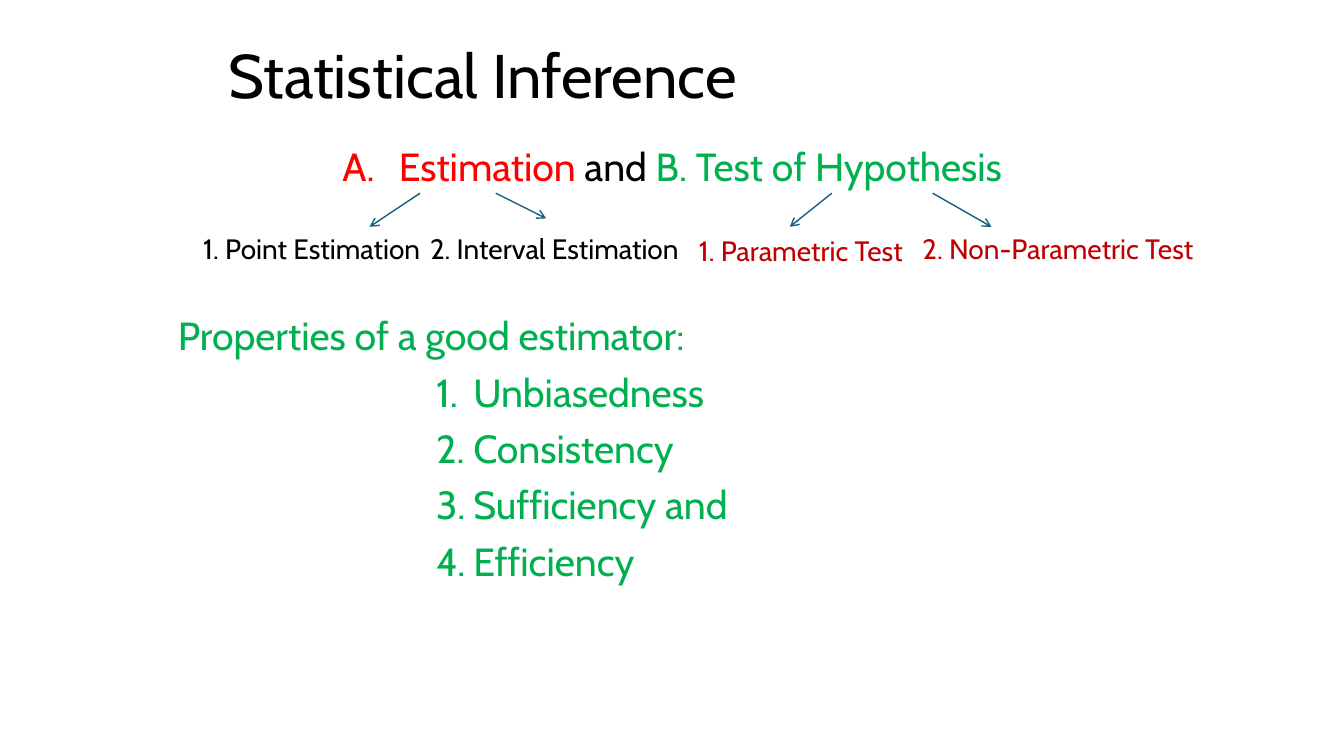
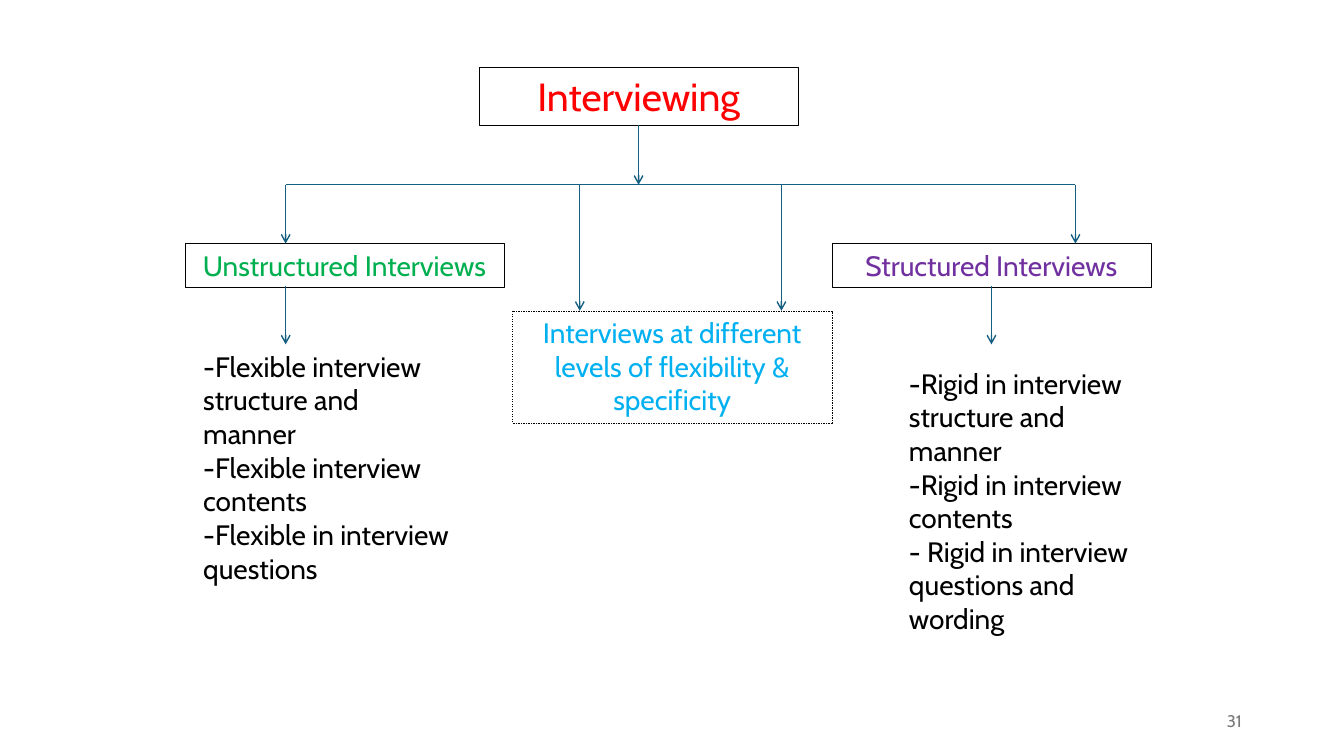
from lxml import etree
from pptx import Presentation
from pptx import util as u
from pptx.dml.color import RGBColor
from pptx.enum import dml, shapes, text
from pptx.oxml.ns import qn

BLACK = RGBColor(0x00, 0x00, 0x00)
RED = RGBColor(0xFF, 0x00, 0x00)
DARK_RED = RGBColor(0xC0, 0x00, 0x00)
GREEN = RGBColor(0x00, 0xB0, 0x50)
SKY = RGBColor(0x00, 0xB0, 0xF0)
PURPLE = RGBColor(0x70, 0x30, 0xA0)
GREY = RGBColor(0x79, 0x79, 0x79)
TEAL = RGBColor(0x15, 0x60, 0x82)
FONT = "Cabin"
CENTER, RIGHT = text.PP_ALIGN.CENTER, text.PP_ALIGN.RIGHT
LOOSE = {"line_spacing": 0.9, "space_before": u.Pt(10)}

prs = Presentation()
prs.slide_width, prs.slide_height = u.Inches(13.33), u.Inches(7.5)
COLS, ROWS = 160, 90
CELL = prs.slide_height / ROWS


def add_text(s, at, paras, size, color=BLACK, anchor=text.MSO_ANCHOR.TOP, border=None, **fmt):
    """Place paragraphs at grid cells (left, top, width, height).

    A paragraph is a string, with \\v as line break, or a list of (text, color) runs.
    """
    sp = s.shapes.add_textbox(*(round(n * CELL) for n in at))
    if border:
        sp.line.color.rgb = BLACK
        sp.line.width = u.Pt(0.25)
        sp.line.dash_style = border
    tf = sp.text_frame
    tf.word_wrap = True
    tf.vertical_anchor = anchor
    for i, para in enumerate(paras):
        p = tf.add_paragraph() if i else tf.paragraphs[0]
        for name, value in fmt.items():
            setattr(p, name, value)
        if isinstance(para, str):
            p.text = para
            colors = [color] * len(p.runs)
        else:
            colors = [c for _, c in para]
            for words, _ in para:
                p.add_run().text = words
        for r, c in zip(p.runs, colors):
            r.font.name, r.font.size = FONT, u.Pt(size)
            r.font.color.rgb = c
    return tf


def number(tf, scheme, margin, hang):
    """Number the paragraphs, with margin and hanging indent in inches."""
    for p in tf.paragraphs:
        pPr = p._p.get_or_add_pPr()
        pPr.set("marL", str(u.Inches(margin)))
        pPr.set("indent", str(-u.Inches(hang)))
        font = etree.SubElement(pPr, qn("a:buFont"))
        font.set("typeface", FONT)
        etree.SubElement(pPr, qn("a:buAutoNum")).set("type", scheme)


# Slide 1: statistical inference
inference = prs.slides.add_slide(prs.slide_layouts[6])
add_text(inference, (26, 3.6, 108, 11.4), ["Statistical Inference"], 44,
         anchor=text.MSO_ANCHOR.MIDDLE, line_spacing=0.9)
branches = add_text(inference, (20, 17, 120, 7),
                    [[("Estimation", RED), (" and ", BLACK), ("B. Test of Hypothesis", GREEN)]],
                    28, alignment=CENTER, **LOOSE)
number(branches, "alphaUcPeriod", 0.56, 0.56)

for left, top, width, words, color in [
    (23, 27, 32, "1. Point Estimation", BLACK),
    (50, 27, 34, "2. Interval Estimation", BLACK),
    (82, 27.15, 30, "1. Parametric Test", DARK_RED),
    (108.6, 27, 37.4, "2. Non-Parametric Test", DARK_RED),
]:
    add_text(inference, (left, top, width, 5.25), [words], 20, color)

add_text(inference, (20, 37.1, 120, 7), ["Properties of a good estimator:"], 28, GREEN, **LOOSE)
properties = add_text(inference, (20, 43.85, 120, 28),
                      ["Unbiasedness", "Consistency", "Sufficiency and", "Efficiency"],
                      28, GREEN, **LOOSE)
number(properties, "arabicPeriod", 2.93, 0.37)

# Slide 2: kinds of interview
interviews = prs.slides.add_slide(prs.slide_layouts[6])
SOLID, DASH = dml.MSO_LINE.SOLID, dml.MSO_LINE.DASH
for left, top, height, words, size, color, border in [
    (57, 8, 6.9, "Interviewing", 28, RED, SOLID),
    (99, 29, 5.25, "Structured Interviews", 20, PURPLE, SOLID),
    (22, 29, 5.25, "Unstructured Interviews", 20, GREEN, SOLID),
    (61, 37, 13.35, "Interviews at different levels of flexibility & specificity", 20, SKY, DASH),
]:
    add_text(interviews, (left, top, 38, height), [words], size, color,
             border=border, alignment=CENTER)

add_text(interviews, (23, 41, 33, 29.5), [
    "-Flexible interview structure and\vmanner",
    "-Flexible interview contents",
    "-Flexible in interview questions",
], 20)
add_text(interviews, (107, 43, 33, 33.5), [
    "-Rigid in interview structure and\vmanner",
    "-Rigid in interview contents",
    "- Rigid in interview questions and wording",
], 20)
add_text(interviews, (113, 83.4, 36, 4.8), ["31"], 12, GREY,
         anchor=text.MSO_ANCHOR.MIDDLE, alignment=RIGHT)

# Lines of both slides: from column, from row, to column, to row, arrowhead
for s, lines in [
    (inference, [
        (50, 23, 44, 27, True),
        (59, 23, 65, 26, True),
        (99, 23, 94, 27, True),
        (111, 23, 118, 27, True),
    ]),
    (interviews, [
        (76, 14.9, 76, 22, True),
        (34, 22, 128, 22, False),
        (34, 22, 34, 29, True),
        (128, 22, 128, 29, True),
        (69, 22, 69, 37, True),
        (93, 22, 93, 37, True),
        (34, 34, 34, 41, True),
        (118, 34, 118, 41, True),
    ]),
]:
    for *ends, arrow in lines:
        cx = s.shapes.add_connector(shapes.MSO_CONNECTOR.STRAIGHT,
                                    *(round(n * CELL) for n in ends))
        cx.line.color.rgb = TEAL
        cx.line.width = u.Pt(1)
        if arrow:
            etree.SubElement(cx.line._get_or_add_ln(), qn("a:tailEnd")).set("type", "arrow")
        etree.SubElement(cx._element.spPr, qn("a:effectLst"))

prs.save("out.pptx")
